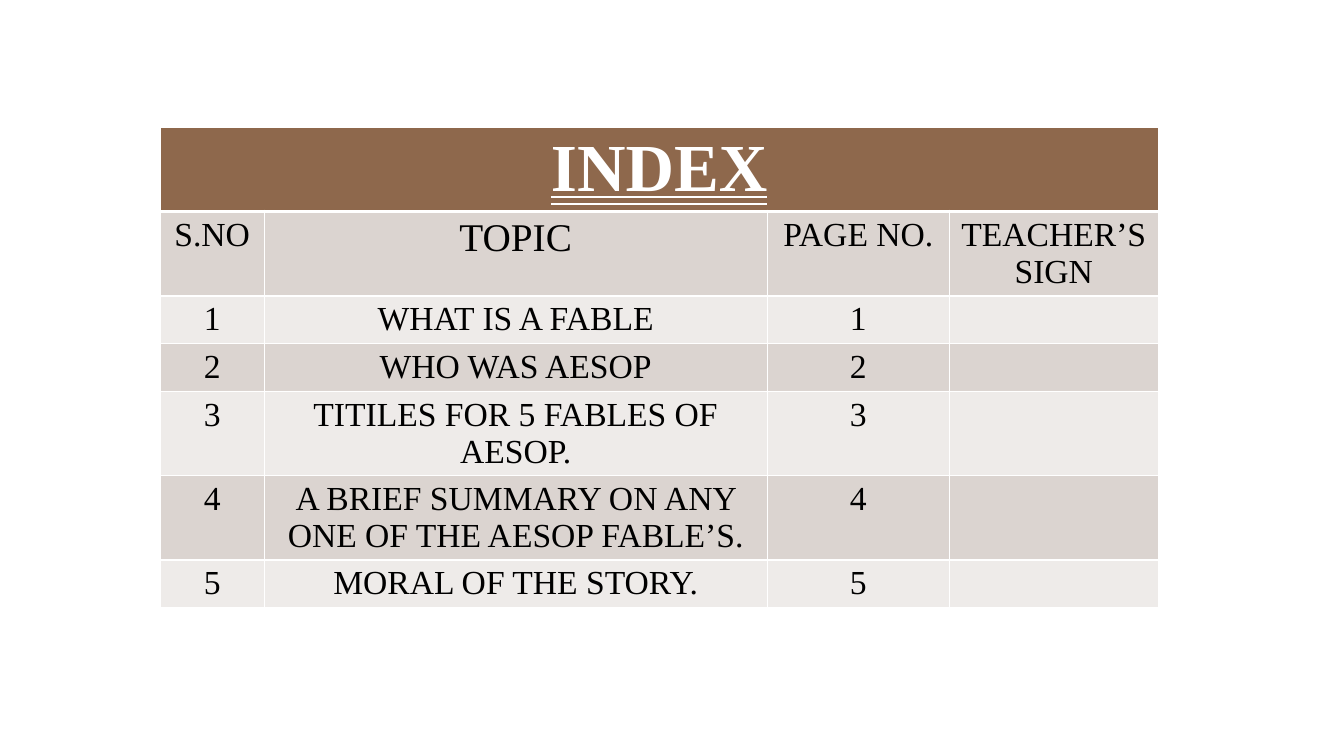
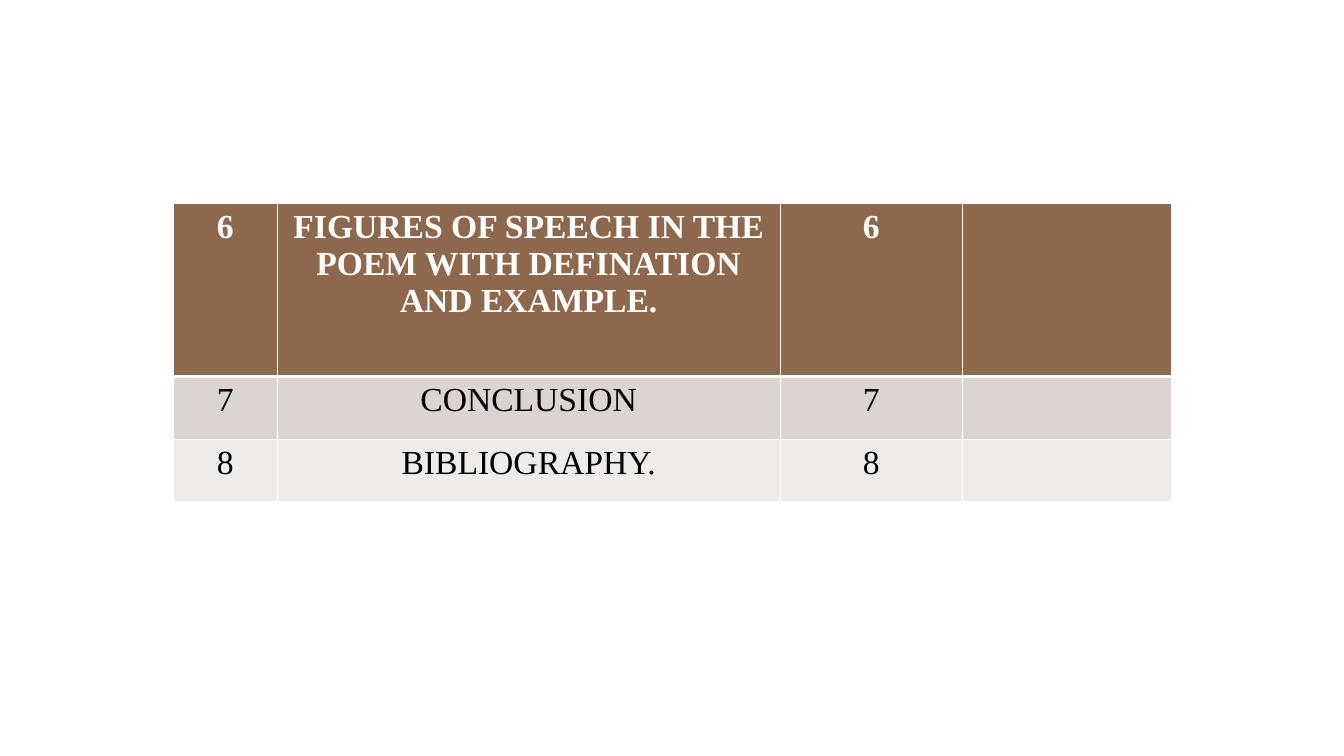
from lxml import etree
from pptx import Presentation
from pptx.dml.color import RGBColor
from pptx.enum.text import MSO_UNDERLINE, PP_ALIGN
from pptx.oxml.ns import qn
from pptx.util import Pt

WHITE = RGBColor(0xFF, 0xFF, 0xFF)
BLACK = RGBColor(0x00, 0x00, 0x00)
BROWN = RGBColor(0x8E, 0x68, 0x4C)
BANDS = (RGBColor(0xDB, 0xD4, 0xD0), RGBColor(0xEE, 0xEB, 0xE9))
CENTER = PP_ALIGN.CENTER
DOUBLE = MSO_UNDERLINE.DOUBLE_LINE

FONT = "Times New Roman"
BODY_SIZE = 24
THIN, THICK = 1, 3
COLUMNS = (74.2, 359.3, 130.3, 149)

INDEX_ROWS = (
    ("INDEX",),
    ("S.NO", "TOPIC", "PAGE NO.", "TEACHER’S SIGN"),
    ("1", "WHAT IS A FABLE", "1"),
    ("2", "WHO WAS AESOP", "2"),
    ("3", "TITILES FOR 5 FABLES OF AESOP.", "3"),
    ("4", "A BRIEF SUMMARY ON ANY ONE OF THE AESOP FABLE’S.", "4"),
    ("5", "MORAL OF THE STORY.", "5"),
)
MORE_ROWS = (
    ("6", "FIGURES OF SPEECH IN THE POEM WITH DEFINATION AND EXAMPLE.", "6"),
    ("7", "CONCLUSION", "7"),
    ("8", "BIBLIOGRAPHY.", "8"),
)


def set_borders(cell, top, bottom):
    """Draw white cell edges; top and bottom are widths in points."""
    tc_pr = cell._tc.get_or_add_tcPr()
    for side, width in {"L": THIN, "R": THIN, "T": top, "B": bottom}.items():
        ln = etree.SubElement(tc_pr, qn(f"a:ln{side}"), w=str(Pt(width)))
        fill = etree.SubElement(ln, qn("a:solidFill"))
        etree.SubElement(fill, qn("a:srgbClr"), val=str(WHITE))


def write_cell(cell, text, **formats):
    p = cell.text_frame.paragraphs[0]
    p.alignment = CENTER
    r = p.add_run()
    r.text = text
    color = formats.pop("color")
    for name, value in formats.items():
        setattr(r.font, name, value)
    r.font.color.rgb = color


def add_index_table(slide, left, top, heights, rows, special=None):
    """Place a banded table; special maps (row, column) to extra font formats."""
    special = special or {}
    frame = slide.shapes.add_table(len(rows), len(COLUMNS), Pt(left), Pt(top),
                                   Pt(sum(COLUMNS)), Pt(sum(heights)))
    table = frame.table
    table.first_row = table.horz_banding = False
    for column, width in zip(table.columns, COLUMNS):
        column.width = Pt(width)
    for i, (height, texts) in enumerate(zip(heights, rows)):
        table.rows[i].height = Pt(height)
        header = i == 0
        for j in range(len(COLUMNS)):
            cell = table.cell(i, j)
            set_borders(cell, THICK if i == 1 else THIN, THICK if header else THIN)
            cell.fill.solid()
            cell.fill.fore_color.rgb = BROWN if header else BANDS[(i - 1) % 2]
            if j < len(texts):
                formats = {"name": FONT, "size": Pt(BODY_SIZE), "bold": header,
                           "color": WHITE if header else BLACK}
                write_cell(cell, texts[j], **{**formats, **special.get((i, j), {})})
    return table


def add_index_slide(prs, **table_args):
    slide = prs.slides.add_slide(prs.slide_layouts[6])
    return add_index_table(slide, **table_args)


def main():
    prs = Presentation()
    prs.slide_width, prs.slide_height = Pt(960), Pt(540)
    index = add_index_slide(
        prs, left=114.5, top=90.7, heights=(60, 60, 34, 34, 60, 60, 34),
        rows=INDEX_ROWS,
        special={(0, 0): {"size": Pt(48), "underline": DOUBLE},
                 (1, 1): {"size": Pt(28)}})
    index.cell(0, 0).merge(index.cell(0, len(COLUMNS) - 1))
    add_index_slide(prs, left=123.8, top=145.4, heights=(123.6, 44.8, 44.8),
                    rows=MORE_ROWS)
    prs.save("out.pptx")


if __name__ == "__main__":
    main()
